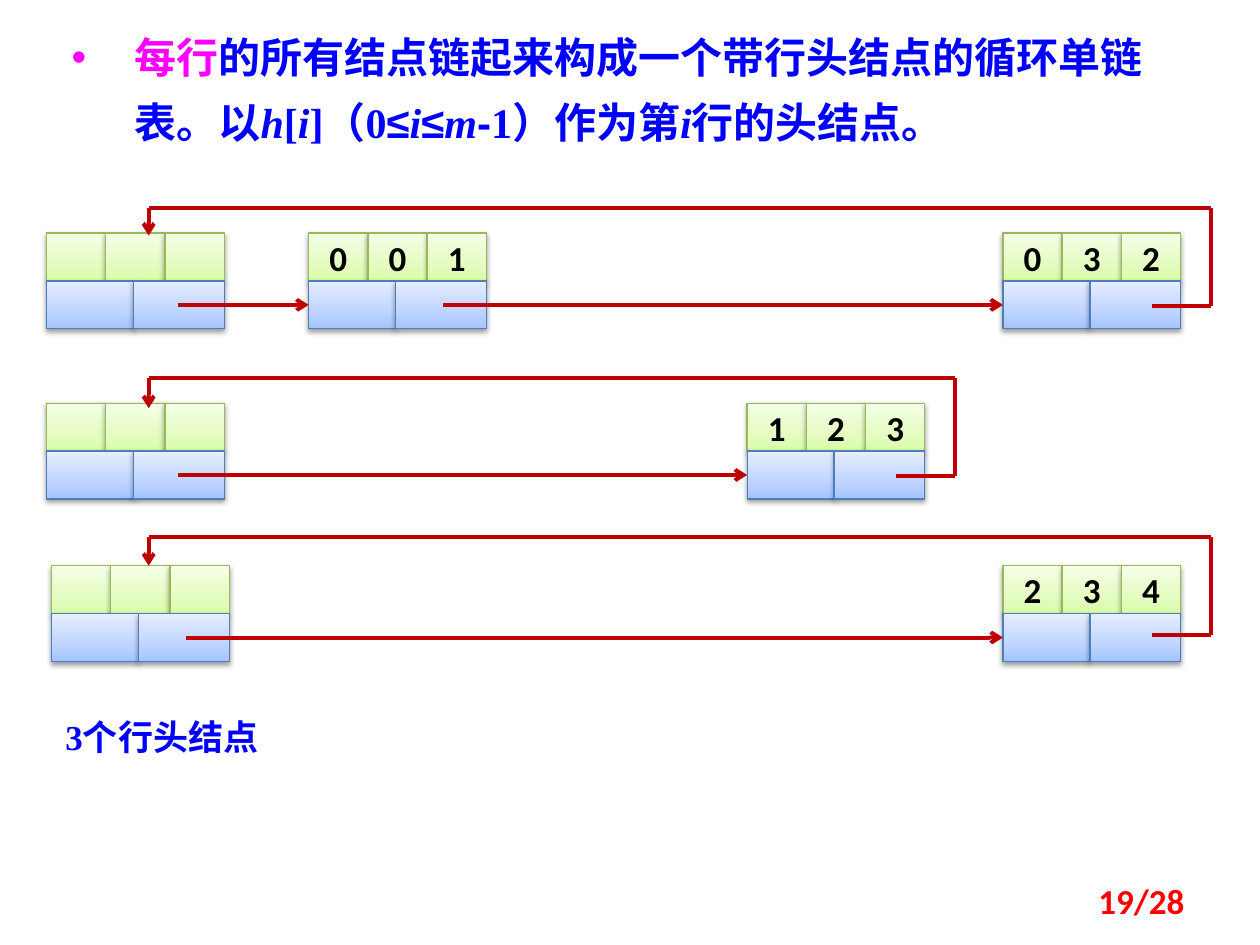
from dataclasses import dataclass
from itertools import pairwise

from lxml.etree import SubElement
from pptx import Presentation
from pptx.dml.color import RGBColor
from pptx.enum.shapes import MSO_CONNECTOR, MSO_SHAPE
from pptx.enum.text import MSO_ANCHOR, MSO_AUTO_SIZE, PP_ALIGN
from pptx.oxml.ns import qn
from pptx.util import Inches, Pt

COLORS = {
    "pink": "FF00FF", "blue": "0000FF", "red": "FF0000",
    "black": "000000", "link": "C00000",
    "key": "98B955", "ptr": "4B7EBC",
}
# Gradient stops, from the bottom of a cell to its top
SHADES = {
    "key": {0: "DAFDA7", 35: "E4FCC2", 100: "F5FFE7"},
    "ptr": {0: "A4C4FF", 35: "BFD4FF", 100: "E6EEFF"},
}
ROMAN, SANS, BODY = "Times New Roman", "Arial", "Calibri"
KEY_W, CELL_H = 0.47, 0.38
PTR_W = (0.69, 0.72)
LINK_DY, LOOP_H = 0.57, 0.78


@dataclass
class Node:
    x: float
    keys: str = "   "
    out: float = 1.07    # where the outgoing link starts, from the left edge


@dataclass
class Row:
    y: float
    nodes: list[Node]
    low: float           # lower end of the loop, from the row top
    tip: float           # arrow tip of the loop, from the row top


@dataclass
class Piece:
    text: str
    font: str = ROMAN
    italic: bool = False
    color: str = "blue"


ROWS = [
    Row(1.85, [Node(0.37, out=1.04), Node(2.45, "001"), Node(7.96, "032")], 0.58, 0.02),
    Row(3.2, [Node(0.37, out=1.04), Node(5.93, "123")], 0.58, 0.04),
    Row(4.49, [Node(0.41), Node(7.96, "234")], 0.55, 0),
]
INTRO = [
    Piece("每行", color="pink"),
    Piece("的所有结点链起来构成一个带行头结点的循环单链表。以"),
    Piece("h", italic=True), Piece("["), Piece("i", italic=True), Piece("]（0"),
    Piece("≤", SANS), Piece("i", italic=True), Piece("≤", SANS),
    Piece("m", italic=True), Piece("-", SANS), Piece("1）作为第"),
    Piece("i", italic=True), Piece("行的头结点。"),
]


def rgb(name: str) -> RGBColor:
    return RGBColor.from_string(COLORS[name])


def add_run(para, piece: Piece, size: int) -> None:
    run = para.add_run()
    run.text = piece.text
    font = run.font
    font.name, font.size, font.bold = piece.font, Pt(size), True
    font.italic = piece.italic
    font.color.rgb = rgb(piece.color)


def add_text(shapes, x: float, y: float, w: float, h: float):
    frame = shapes.add_textbox(*map(Inches, (x, y, w, h))).text_frame
    frame.word_wrap = True
    return frame


def add_cell(shapes, x: float, y: float, w: float, kind: str, text: str = "") -> None:
    cell = shapes.add_shape(MSO_SHAPE.RECTANGLE, *map(Inches, (x, y, w, CELL_H)))
    cell.line.color.rgb = rgb(kind)
    cell.line.width = Pt(0.75)
    cell.fill.gradient()
    cell.fill.gradient_angle = 90
    props = cell.element.spPr

    # Three gradient stops
    stops = props.find(".//" + qn("a:gsLst"))
    for stop in list(stops):
        stops.remove(stop)
    for pos, shade in SHADES[kind].items():
        stop = SubElement(stops, qn("a:gs"), pos=str(pos * 1000))
        SubElement(stop, qn("a:srgbClr"), val=shade)

    # Soft shadow below the cell
    cell.shadow.inherit = False
    shadow = SubElement(props.find(qn("a:effectLst")), qn("a:outerShdw"),
                        blurRad=str(Pt(3.1)), dist=str(Pt(1.6)),
                        dir="5400000", rotWithShape="0")
    tint = SubElement(shadow, qn("a:srgbClr"), val=COLORS["black"])
    SubElement(tint, qn("a:alpha"), val="38000")

    if text.strip():
        frame = cell.text_frame
        frame.word_wrap = False
        frame.vertical_anchor = MSO_ANCHOR.MIDDLE
        para = frame.paragraphs[0]
        para.alignment = PP_ALIGN.CENTER
        add_run(para, Piece(text, BODY, color="black"), 20)


def add_node(shapes, node: Node, y: float) -> None:
    group = shapes.add_group_shape().shapes
    for i, key in enumerate(node.keys):
        add_cell(group, node.x + i * KEY_W, y, KEY_W, "key", key)
    x = node.x
    for w in PTR_W:
        add_cell(group, x, y + CELL_H, w, "ptr")
        x += w


def add_link(shapes, start: tuple, end: tuple, arrow: bool = True) -> None:
    link = shapes.add_connector(MSO_CONNECTOR.STRAIGHT, *map(Inches, start + end))
    link.line.color.rgb = rgb("link")
    link.line.width = Pt(2.25)
    if arrow:
        SubElement(link.line._get_or_add_ln(), qn("a:tailEnd"), type="arrow")
    SubElement(link.element.spPr, qn("a:effectLst"))


def add_loop(shapes, row: Row) -> None:
    """Lead from the last node over the row and back to its head."""
    group = shapes.add_group_shape().shapes
    left, right = 1.18, row.nodes[-1].x + 1.65
    low = row.y + row.low
    top = low - LOOP_H
    points = [(right - 0.47, low), (right, low), (right, top),
              (left, top), (left, row.y + row.tip)]
    legs = list(pairwise(points))
    for leg in legs:
        add_link(group, *leg, arrow=leg is legs[-1])


def main() -> None:
    deck = Presentation()
    deck.slide_width, deck.slide_height = Inches(10), Inches(7.5)
    shapes = deck.slides.add_slide(deck.slide_layouts[6]).shapes

    # Intro with a bullet
    frame = add_text(shapes, 0.47, 0.08, 9, 1.15)
    frame.auto_size = MSO_AUTO_SIZE.SHAPE_TO_FIT_TEXT
    para = frame.paragraphs[0]
    props = para._p.get_or_add_pPr()
    props.set("marL", str(Inches(0.5)))
    props.set("indent", str(Inches(-0.5)))
    SubElement(props, qn("a:buFont"), typeface=SANS)
    SubElement(props, qn("a:buChar"), char="•")
    para.line_spacing = 1.3
    for piece in INTRO:
        add_run(para, piece, 24)

    # Linked rows
    for row in ROWS:
        for node in row.nodes:
            add_node(shapes, node, row.y)
        y = row.y + LINK_DY
        for node, after in pairwise(row.nodes):
            add_link(shapes, (node.x + node.out, y), (after.x, y))
        add_loop(shapes, row)

    # Caption
    frame = add_text(shapes, 0.23, 5.63, 2.11, 0.44)
    frame.auto_size = MSO_AUTO_SIZE.SHAPE_TO_FIT_TEXT
    para = frame.paragraphs[0]
    para.alignment = PP_ALIGN.CENTER
    add_run(para, Piece("3个行头结点"), 20)

    # Page number
    frame = add_text(shapes, 7.17, 6.95, 2.33, 0.4)
    frame.vertical_anchor = MSO_ANCHOR.MIDDLE
    para = frame.paragraphs[0]
    para.alignment = PP_ALIGN.RIGHT
    add_run(para, Piece("19/28", BODY, color="red"), 20)

    deck.save("out.pptx")


if __name__ == "__main__":
    main()
